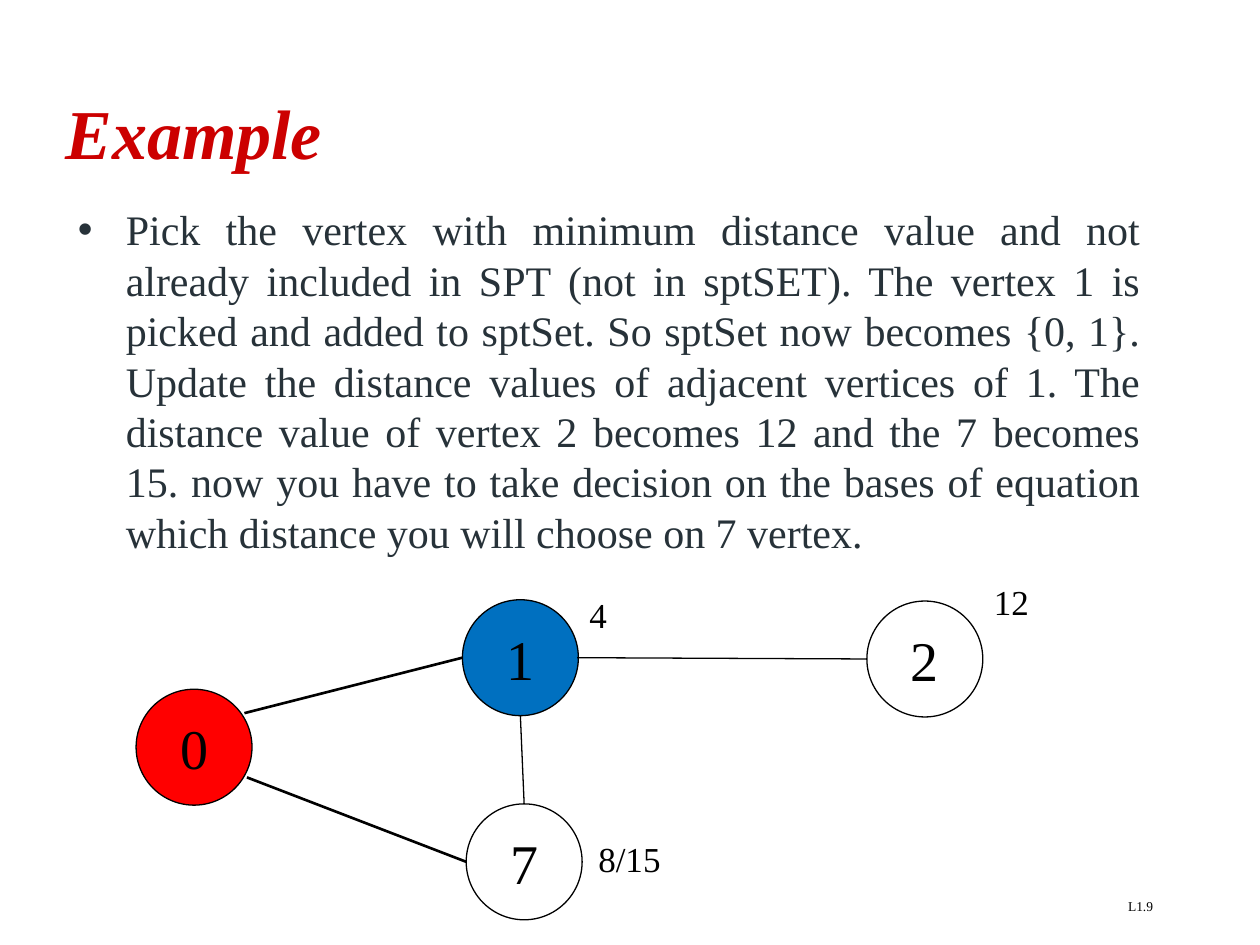
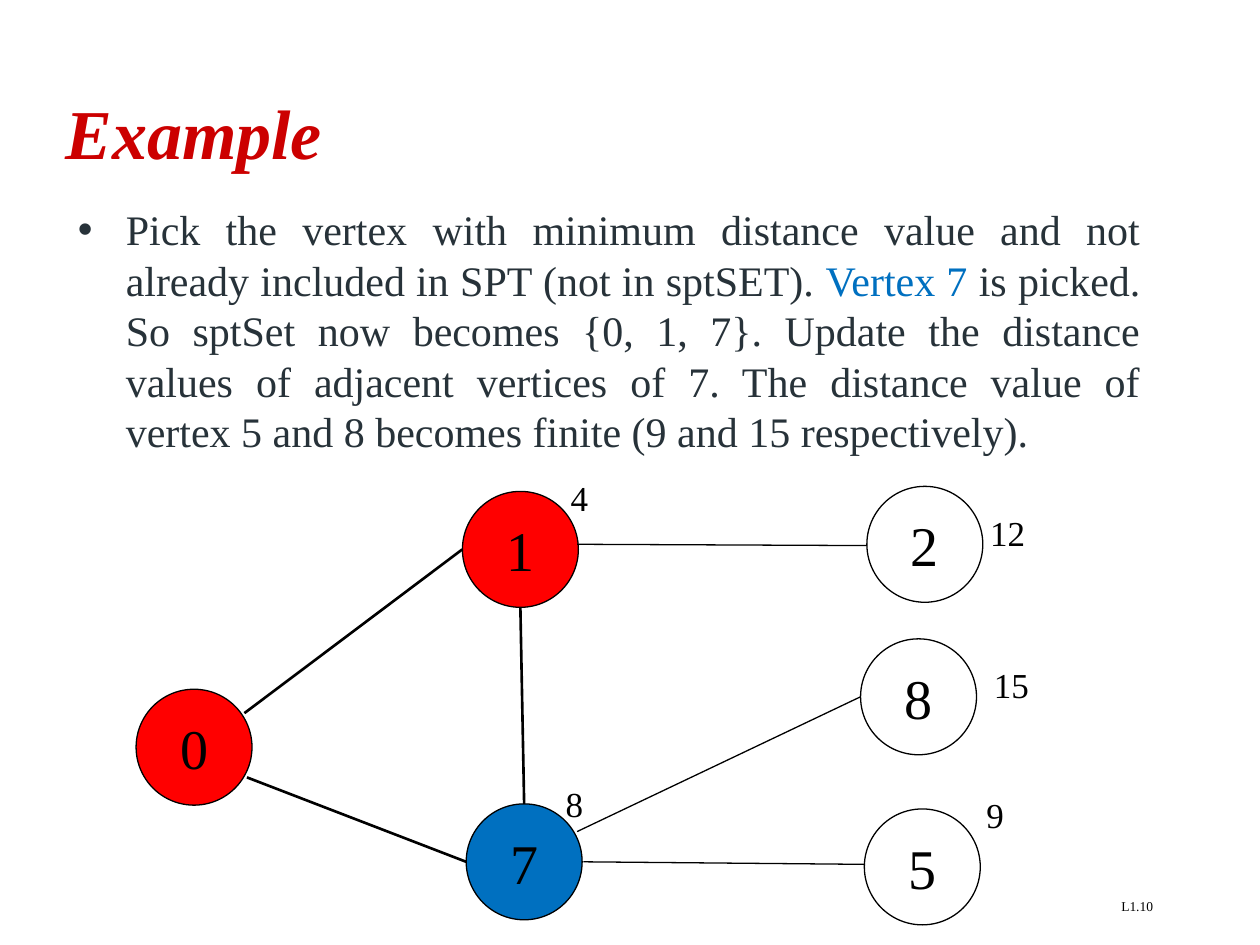
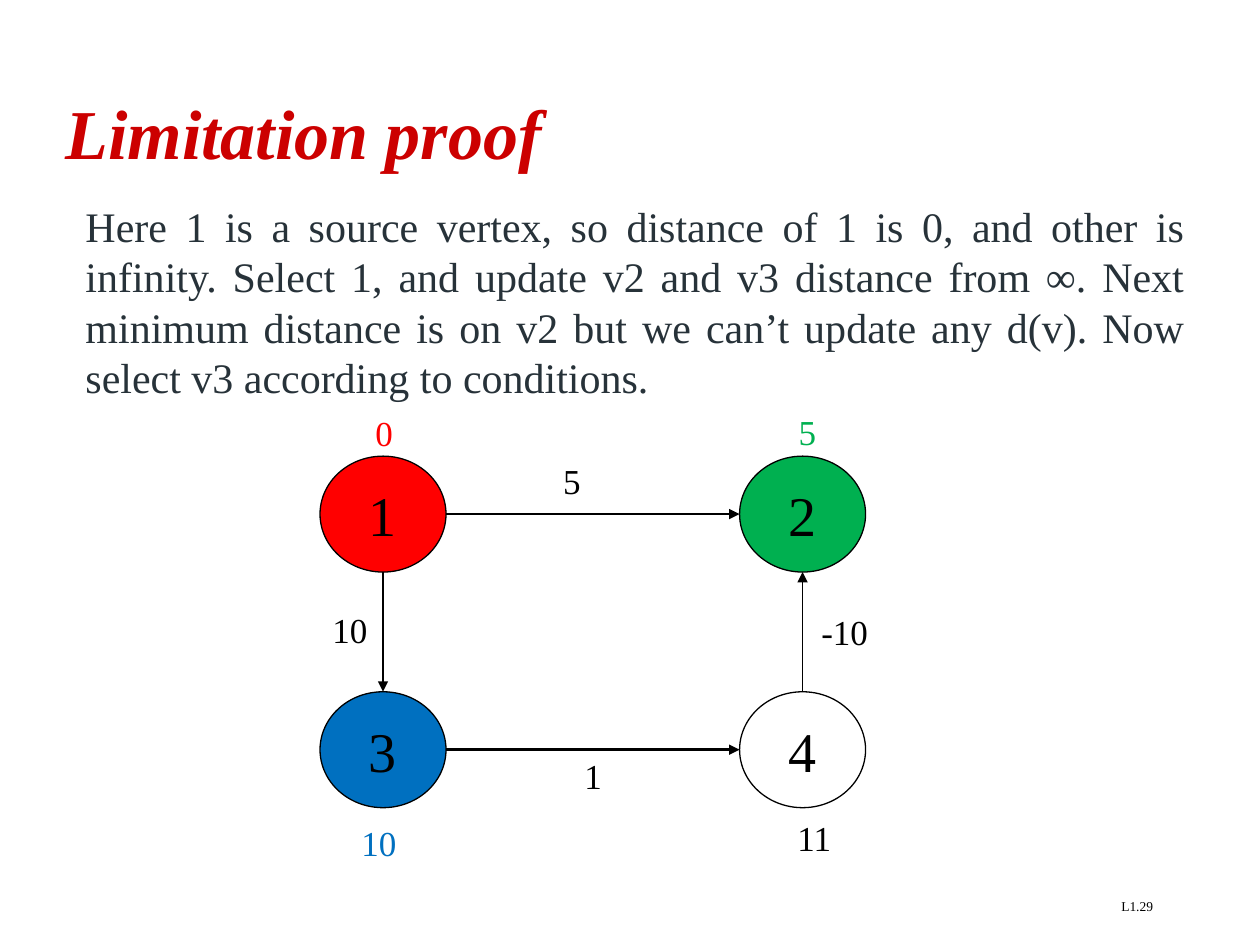
from dataclasses import dataclass
from typing import Optional

from lxml.etree import SubElement
from pptx import Presentation
from pptx.dml.color import RGBColor
from pptx.enum.shapes import MSO_CONNECTOR as Connector, MSO_SHAPE as Preset
from pptx.enum.text import MSO_ANCHOR as Anchor, MSO_AUTO_SIZE as AutoSize, PP_ALIGN as Align
from pptx.oxml.ns import qn
from pptx.util import Inches, Pt


@dataclass(frozen=True)
class Theme:
    font: str = "Times New Roman"
    title_color: str = "CC0000"
    body_color: str = "273239"
    black: str = "000000"
    red: str = "FF0000"
    blue: str = "0070C0"
    green: str = "00B050"
    title_size: float = 40
    body_size: float = 24
    node_size: float = 32
    label_size: float = 20
    footer_size: float = 7.7
    thin: float = 0.75
    thick: float = 1.5


THEME = Theme()
NODE_HEIGHT = 0.92
LABEL_HEIGHT = 0.44
INDENT = 0.38


@dataclass(frozen=True)
class Run:
    text: str
    color: str = THEME.body_color


@dataclass(frozen=True)
class Body:
    runs: tuple[Run, ...]
    left: float
    top: float
    width: float
    height: float
    bullet: bool = True


@dataclass(frozen=True)
class Node:
    text: str
    left: float
    top: float
    fill: Optional[str] = None
    width: float = NODE_HEIGHT


@dataclass(frozen=True)
class Edge:
    start: tuple[float, float]
    end: tuple[float, float]
    weight: float = THEME.thin
    arrow: bool = False


@dataclass(frozen=True)
class Label:
    text: str
    left: float
    top: float
    width: float = 0.38
    color: str = THEME.black


@dataclass(frozen=True)
class GraphSlide:
    title: str
    number: str
    body: Body
    nodes: tuple[Node, ...]
    edges: tuple[Edge, ...]
    labels: tuple[Label, ...]


def write_text(shape, *runs: Run, size: float, bold: bool = False, italic: bool = False,
               align: Align = Align.LEFT, anchor: Anchor = Anchor.TOP,
               space_before: float = 0, grow: bool = False):
    frame = shape.text_frame
    frame.word_wrap = True
    frame.vertical_anchor = anchor
    frame.auto_size = AutoSize.SHAPE_TO_FIT_TEXT if grow else AutoSize.NONE
    paragraph = frame.paragraphs[0]
    paragraph.alignment = align
    paragraph.space_before = Pt(space_before)
    for item in runs:
        run = paragraph.add_run()
        run.text = item.text
        run.font.name = THEME.font
        run.font.size = Pt(size)
        run.font.bold = bold
        run.font.italic = italic
        run.font.color.rgb = RGBColor.from_string(item.color)
    return paragraph


def add_text_box(slide, left: float, top: float, width: float, height: float):
    return slide.shapes.add_textbox(Inches(left), Inches(top), Inches(width), Inches(height))


def add_bullet(paragraph) -> None:
    properties = paragraph._p.get_or_add_pPr()
    properties.set("marL", str(Inches(INDENT)))
    properties.set("indent", str(-Inches(INDENT)))
    color = SubElement(properties, qn("a:buClr"))
    SubElement(color, qn("a:srgbClr"), val=THEME.body_color)
    SubElement(properties, qn("a:buFont"), typeface="Arial")
    SubElement(properties, qn("a:buChar"), char="•")


def draw_title(slide, text: str) -> None:
    title = slide.shapes.title
    title.left, title.top = Inches(0.42), Inches(0.42)
    title.width, title.height = Inches(9.33), Inches(1.25)
    write_text(title, Run(text, THEME.title_color), size=THEME.title_size,
               bold=True, italic=True, anchor=Anchor.MIDDLE)


def draw_footer(slide, number: str) -> None:
    footer = add_text_box(slide, 7.17, 7.08, 2.08, 0.25)
    write_text(footer, Run(number, THEME.black), size=THEME.footer_size, align=Align.RIGHT)


def draw_body(slide, body: Body) -> None:
    box = add_text_box(slide, body.left, body.top, body.width, body.height)
    paragraph = write_text(box, *body.runs, size=THEME.body_size, align=Align.JUSTIFY,
                           space_before=6 if body.bullet else 0, grow=True)
    if body.bullet:
        add_bullet(paragraph)


def draw_node(slide, node: Node) -> None:
    ellipse = slide.shapes.add_shape(Preset.OVAL, Inches(node.left), Inches(node.top),
                                     Inches(node.width), Inches(NODE_HEIGHT))
    ellipse.shadow.inherit = False
    if node.fill:
        ellipse.fill.solid()
        ellipse.fill.fore_color.rgb = RGBColor.from_string(node.fill)
    else:
        ellipse.fill.background()
    ellipse.line.color.rgb = RGBColor.from_string(THEME.black)
    ellipse.line.width = Pt(THEME.thin)
    write_text(ellipse, Run(node.text, THEME.black), size=THEME.node_size,
               align=Align.CENTER, anchor=Anchor.MIDDLE)


def draw_edge(slide, edge: Edge) -> None:
    points = [Inches(value) for value in edge.start + edge.end]
    connector = slide.shapes.add_connector(Connector.STRAIGHT, *points)
    connector.line.color.rgb = RGBColor.from_string(THEME.black)
    connector.line.width = Pt(edge.weight)
    if edge.arrow:
        SubElement(connector.line._get_or_add_ln(), qn("a:tailEnd"), type="triangle")
    SubElement(connector._element.spPr, qn("a:effectLst"))


def draw_label(slide, label: Label) -> None:
    box = add_text_box(slide, label.left, label.top, label.width, LABEL_HEIGHT)
    write_text(box, Run(label.text, label.color), size=THEME.label_size, grow=True)


def draw_slide(presentation, content: GraphSlide) -> None:
    slide = presentation.slides.add_slide(presentation.slide_layouts[5])
    draw_footer(slide, content.number)
    draw_title(slide, content.title)
    draw_body(slide, content.body)
    for node in content.nodes:
        draw_node(slide, node)
    for edge in content.edges:
        draw_edge(slide, edge)
    for label in content.labels:
        draw_label(slide, label)


PICK_RULE = ("Pick the vertex with minimum distance value and not already included "
             "in SPT (not in sptSET). ")
SOURCE_NODE = Node("0", 1.08, 5.47, THEME.red)
SOURCE_TO_SEVEN = Edge((1.96, 6.17), (3.7, 6.84), THEME.thick)
SOURCE_EXIT = (1.94, 5.66)
SEVEN_TOP = (4.16, 6.38)

VERTEX_ONE = GraphSlide(
    title="Example",
    number="L1.9",
    body=Body((Run(
        PICK_RULE + "The vertex 1 is picked and added to sptSet. So sptSet now becomes {0, 1}. "
        "Update the distance values of adjacent vertices of 1. The distance value of vertex 2 "
        "becomes 12 and the 7 becomes 15. now you have to take decision on the bases of "
        "equation which distance you will choose on 7 vertex."),), 0.52, 1.57, 8.63, 2.9),
    nodes=(
        Node("1", 3.67, 4.76, THEME.blue),
        SOURCE_NODE,
        Node("7", 3.7, 6.38),
        Node("2", 6.88, 4.77),
    ),
    edges=(
        Edge(SOURCE_EXIT, (3.67, 5.22), THEME.thick),
        SOURCE_TO_SEVEN,
        Edge((4.58, 5.22), (6.88, 5.23)),
        Edge((4.13, 5.68), SEVEN_TOP),
    ),
    labels=(
        Label("4", 4.58, 4.66),
        Label("8/15", 4.65, 6.6, 0.76),
        Label("12", 7.79, 4.56, 0.54),
    ),
)

VERTEX_SEVEN = GraphSlide(
    title="Example",
    number="L1.10",
    body=Body((
        Run(PICK_RULE),
        Run("Vertex 7 ", THEME.blue),
        Run("is picked. So sptSet now becomes {0, 1, 7}. Update the distance values of adjacent "
            "vertices of 7. The distance value of vertex 5 and 8 becomes finite "
            "(9 and 15 respectively)."),
    ), 0.52, 1.57, 8.63, 2.1),
    nodes=(
        Node("1", 3.67, 3.9, THEME.red),
        SOURCE_NODE,
        Node("7", 3.7, 6.38, THEME.blue),
        Node("2", 6.88, 3.86),
        Node("5", 6.86, 6.42),
        Node("8", 6.83, 5.07),
    ),
    edges=(
        Edge(SOURCE_EXIT, (3.67, 4.36), THEME.thick),
        SOURCE_TO_SEVEN,
        Edge((4.58, 4.32), (6.88, 4.33)),
        Edge((4.13, 4.82), SEVEN_TOP, THEME.thick),
        Edge((4.63, 6.84), (6.86, 6.86)),
        Edge((4.58, 6.6), (6.83, 5.53)),
    ),
    labels=(
        Label("4", 4.43, 3.73),
        Label("8", 4.39, 6.16),
        Label("12", 7.76, 4.01, 0.54),
        Label("9", 7.73, 6.25),
        Label("15", 7.79, 5.22, 0.51),
    ),
)


def limitation_slide() -> GraphSlide:
    left, right = 2.54, 5.87
    upper, lower = 3.62, 5.49
    width = 1.0
    left_center, right_center = left + width / 2, right + width / 2
    upper_center, lower_center = upper + NODE_HEIGHT / 2, lower + NODE_HEIGHT / 2
    upper_bottom = upper + NODE_HEIGHT
    return GraphSlide(
        title="Limitation proof",
        number="L1.29",
        body=Body((Run(
            "Here 1 is a source vertex, so distance of 1 is 0, and other is infinity. Select 1, "
            "and update v2 and v3 distance from ∞. Next minimum distance is on v2 but we can’t "
            "update any d(v). Now select v3 according to conditions."),),
            0.58, 1.54, 8.92, 1.7, bullet=False),
        nodes=(
            Node("4", right, lower, width=width),
            Node("1", left, upper, THEME.red, width),
            Node("3", left, lower, THEME.blue, width),
            Node("2", right, upper, THEME.green, width),
        ),
        edges=(
            Edge((left_center, upper_bottom), (left_center, lower), THEME.thick, True),
            Edge((left + width, upper_center), (right, upper_center), THEME.thick, True),
            Edge((left + width, lower_center), (right, lower_center), THEME.thick, True),
            Edge((right_center, lower), (right_center, upper_bottom), arrow=True),
        ),
        labels=(
            Label("5", 4.37, 3.6),
            Label("10", 2.54, 4.78, 0.5),
            Label("1", 4.54, 5.94),
            Label("-10", 6.42, 4.8, 0.66),
            Label("0", 2.88, 3.22, color=THEME.red),
            Label("10", 2.77, 6.47, 0.54, THEME.blue),
            Label("5", 6.24, 3.21, color=THEME.green),
            Label("11", 6.23, 6.43, 0.55),
        ),
    )


def main() -> None:
    presentation = Presentation()
    presentation.slide_width, presentation.slide_height = Inches(10), Inches(7.5)
    for content in (VERTEX_ONE, VERTEX_SEVEN, limitation_slide()):
        draw_slide(presentation, content)
    presentation.save("out.pptx")


if __name__ == "__main__":
    main()
